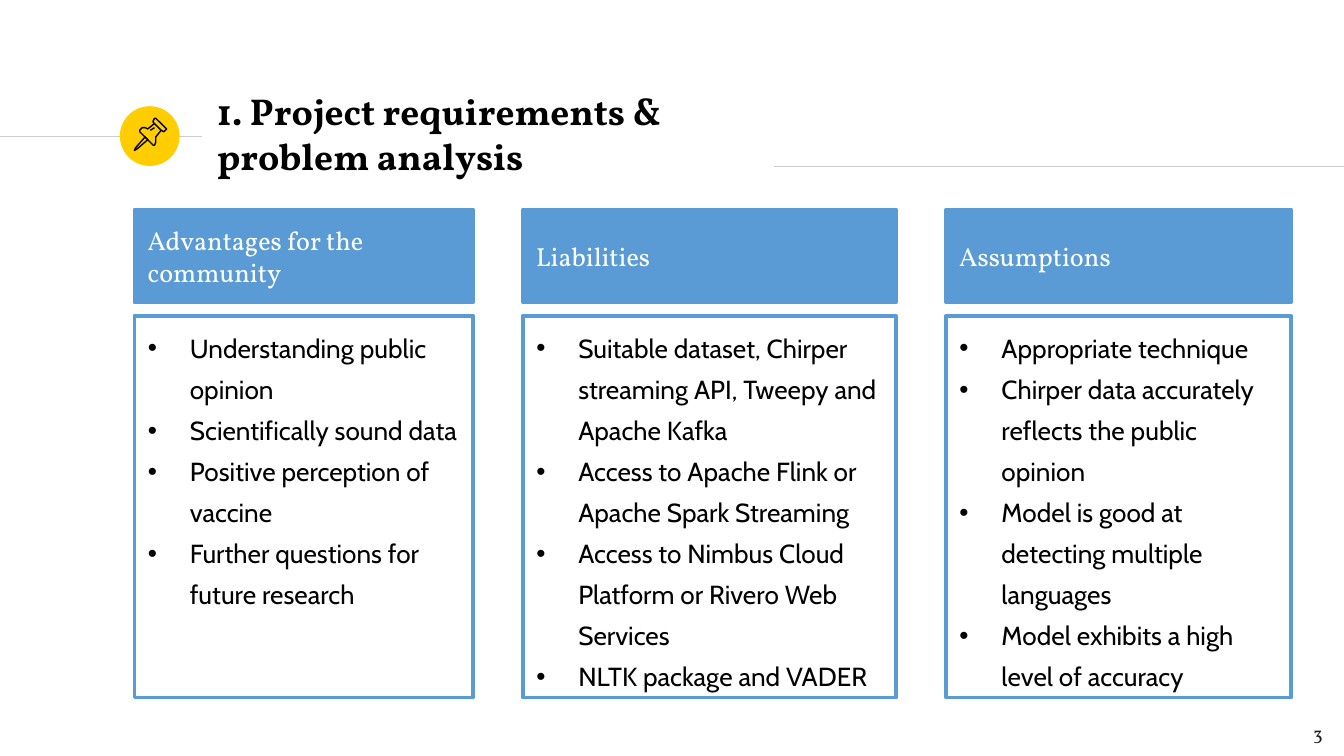
from dataclasses import dataclass

from lxml import etree
from pptx import Presentation
from pptx import util as u
from pptx.dml.color import RGBColor
from pptx.enum import shapes, text
from pptx.oxml.ns import qn

BLUE = RGBColor(0x5B, 0x9B, 0xD5)
YELLOW = RGBColor(0xFF, 0xCD, 0x00)
GREY = RGBColor(0xCC, 0xCC, 0xCC)
BLACK = RGBColor(0x00, 0x00, 0x00)
DARK = RGBColor(0x1D, 0x1D, 0x1B)
WHITE = RGBColor(0xFF, 0xFF, 0xFF)
SERIF, SANS = "Vollkorn", "Cabin"

# Column layout, in points
FIRST_LEFT, COLUMN_GAP = 72, 26.6
HEADER_TOP, HEADER_HEIGHT = 112.3, 49.7
LIST_TOP, LIST_HEIGHT = 169.2, 204.5
BULLET_INDENT = 22.5


@dataclass
class Column:
    heading: str
    width: float
    items: list[str]


@dataclass
class Stroke:
    points: list[tuple[float, float]]
    closed: bool


COLUMNS = [
    Column("Advantages for the community", 181.5, [
        "Understanding public opinion",
        "Scientifically sound data",
        "Positive perception of vaccine",
        "Further questions for future research",
    ]),
    Column("Liabilities", 200.1, [
        "Suitable dataset, Chirper streaming API, Tweepy and Apache Kafka",
        "Access to Apache Flink or Apache Spark Streaming",
        "Access to Nimbus Cloud Platform or Rivero Web Services",
        "NLTK package and VADER",
    ]),
    Column("Assumptions", 185, [
        "Appropriate technique",
        "Chirper data accurately reflects the public opinion",
        "Model is good at detecting multiple languages",
        "Model exhibits a high level of accuracy",
    ]),
]

PIN = [
    # Needle
    Stroke([(77.8, 73.4), (72.7, 79.2), (72, 80.6), (73.4, 79.9), (79.2, 74.9)], True),
    # Head
    Stroke([(82.8, 66.2), (86.4, 69.8), (87.8, 70.6), (88.6, 69.8), (89.3, 69.1),
            (83.5, 63.4), (82.8, 63.4), (82.1, 64.8), (82.1, 65.5)], True),
    # Body
    Stroke([(82.8, 66.2), (79.2, 69.1), (77.8, 68.4), (76.3, 68.4), (74.9, 69.8),
            (74.9, 70.6), (82.1, 77.8), (82.8, 77.8), (83.5, 76.3), (83.5, 73.4),
            (86.4, 69.8)], False),
    # Highlight
    Stroke([(80.6, 69.8), (82.8, 68.4)], False),
]


def place(shape, left: float, top: float, width: float, height: float) -> None:
    shape.left, shape.top = u.Pt(left), u.Pt(top)
    shape.width, shape.height = u.Pt(width), u.Pt(height)


def outline(shape, color: RGBColor, weight: float) -> None:
    shape.line.color.rgb = color
    shape.line.width = u.Pt(weight)


def write(shape, lines: list[str], *, font: str, size: float, color: RGBColor,
          bold: bool = False, align=text.PP_ALIGN.LEFT, anchor=text.MSO_ANCHOR.TOP,
          spacing=None, bullets: bool = False, margin: float = 3.6) -> None:
    frame = shape.text_frame
    frame.text = "\n".join(lines)
    frame.word_wrap = True
    frame.auto_size = text.MSO_AUTO_SIZE.NONE
    frame.vertical_anchor = anchor
    frame.margin_left = frame.margin_right = u.Pt(7.2)
    frame.margin_top = frame.margin_bottom = u.Pt(margin)
    for paragraph in frame.paragraphs:
        paragraph.alignment = align
        paragraph.space_before = paragraph.space_after = u.Pt(0)
        paragraph.line_spacing = spacing
        for run in paragraph.runs:
            run.font.name, run.font.size = font, u.Pt(size)
            run.font.bold, run.font.color.rgb = bold, color
        if bullets:
            add_bullet(paragraph)


def add_bullet(paragraph) -> None:
    properties = paragraph._p.get_or_add_pPr()
    properties.set("marL", str(u.Pt(BULLET_INDENT)))
    properties.set("indent", str(-u.Pt(BULLET_INDENT)))
    etree.SubElement(properties, qn("a:buFont"), typeface="Arial")
    etree.SubElement(properties, qn("a:buChar"), char="•")


def draw_rule(slide, start: float, end: float, height: float) -> None:
    rule = slide.shapes.add_connector(
        shapes.MSO_CONNECTOR.STRAIGHT, u.Pt(start), u.Pt(height), u.Pt(end), u.Pt(height))
    outline(rule, GREY, 0.75)
    etree.SubElement(rule._element.spPr, qn("a:effectLst"))


def draw_box(slide, kind, fill: RGBColor):
    box = slide.shapes.add_shape(kind, 0, 0, 0, 0)
    box.shadow.inherit = False
    box.fill.solid()
    box.fill.fore_color.rgb = fill
    return box


def draw_pin(slide) -> None:
    group = slide.shapes.add_group_shape()
    for stroke in PIN:
        points = [(u.Pt(x), u.Pt(y)) for x, y in stroke.points]
        builder = group.shapes.build_freeform(*points[0], scale=1.0)
        builder.add_line_segments(points[1:], close=stroke.closed)
        shape = builder.convert_to_shape()
        shape.shadow.inherit = False
        shape.fill.background()
        outline(shape, BLACK, 0.75)


def draw_column(slide, column: Column, left: float, body) -> None:
    header = draw_box(slide, shapes.MSO_SHAPE.RECTANGLE, BLUE)
    place(header, left, HEADER_TOP, column.width, HEADER_HEIGHT)
    outline(header, BLUE, 2)
    write(header, [column.heading], font=SERIF, size=14, color=WHITE,
          anchor=text.MSO_ANCHOR.MIDDLE)

    place(body, left, LIST_TOP, column.width, LIST_HEIGHT)
    outline(body, BLUE, 2)
    write(body, column.items, font=SANS, size=14, color=BLACK,
          spacing=u.Pt(22), bullets=True)


def main() -> None:
    presentation = Presentation()
    presentation.slide_width, presentation.slide_height = u.Pt(720), u.Pt(405)
    layout = presentation.slide_layouts[1]
    slide = presentation.slides.add_slide(layout)

    # Rules and pin badge
    draw_rule(slide, 0, 108, 73.3)
    badge = draw_box(slide, shapes.MSO_SHAPE.OVAL, YELLOW)
    place(badge, 64.2, 56.9, 32, 32)
    badge.line.fill.background()
    draw_rule(slide, 414.7, 720, 89.2)
    draw_pin(slide)

    # Title
    title = slide.shapes.title
    place(title, 109, 54.2, 305.3, 34.6)
    write(title, ["1. Project requirements & problem analysis"], font=SERIF, size=20,
          color=BLACK, bold=True, anchor=text.MSO_ANCHOR.MIDDLE, margin=7.2)

    # Columns: one body placeholder for each list
    bodies = [slide.placeholders[1]]
    for _ in COLUMNS[1:]:
        slide.shapes.clone_placeholder(layout.placeholders[1])
        bodies.append(slide.shapes[-1])
    left = FIRST_LEFT
    for column, body in zip(COLUMNS, bodies):
        draw_column(slide, column, left, body)
        left += column.width + COLUMN_GAP

    # Page number
    number = slide.shapes.add_textbox(0, 0, 0, 0)
    place(number, 672.5, 373.7, 43.2, 31)
    write(number, ["3"], font=SERIF, size=10, color=DARK,
          align=text.PP_ALIGN.RIGHT, spacing=1.5, margin=7.2)

    presentation.save("out.pptx")


if __name__ == "__main__":
    main()
